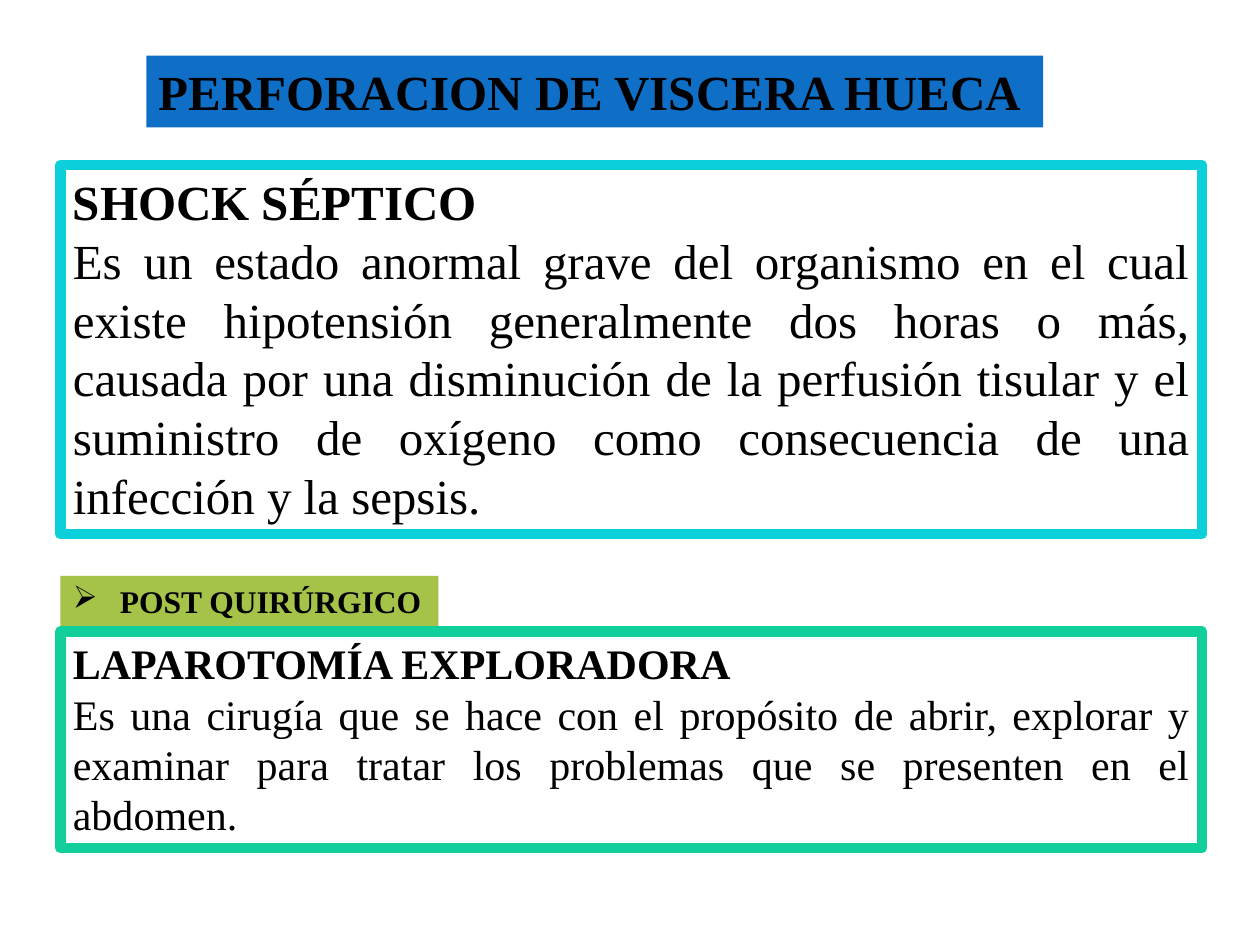
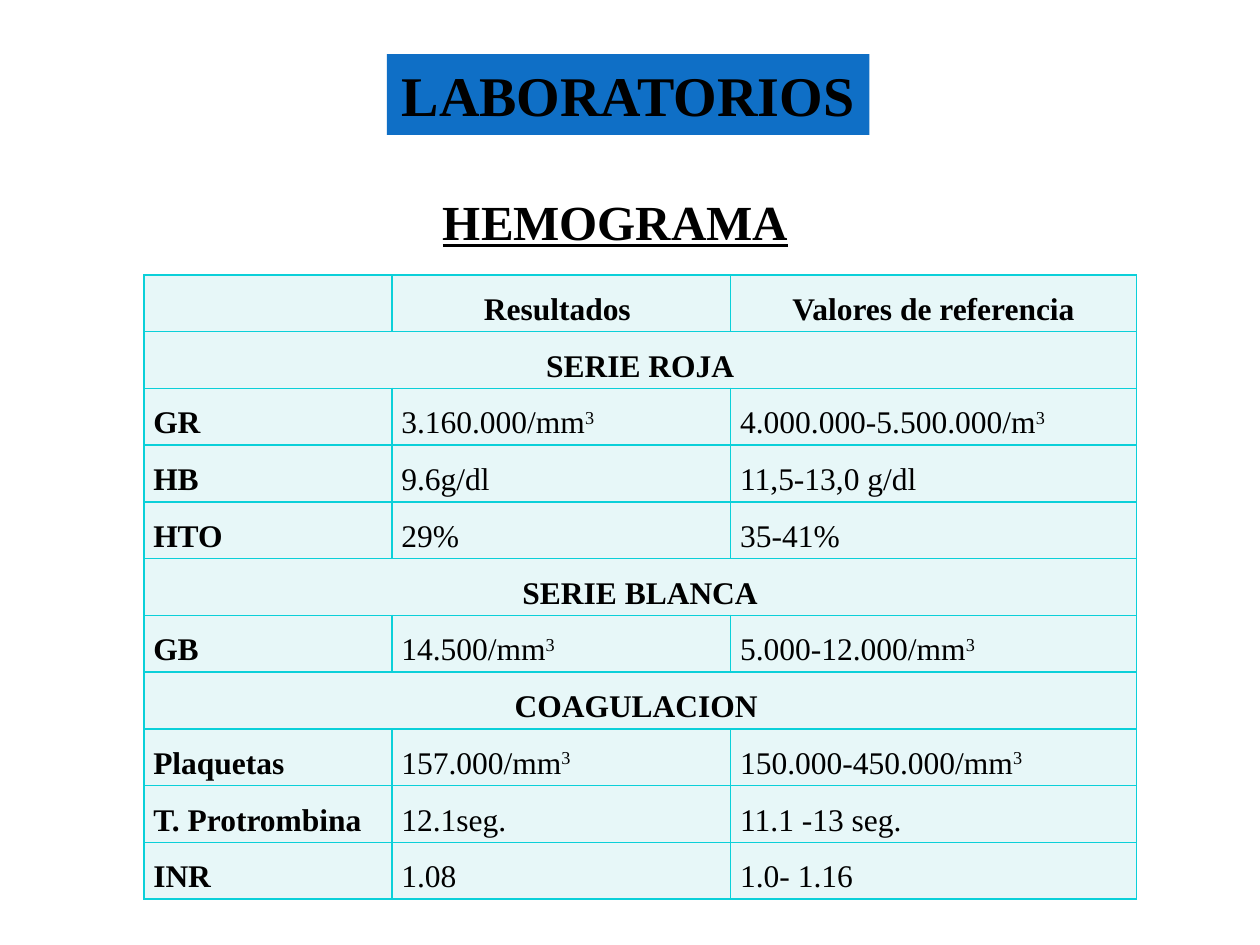
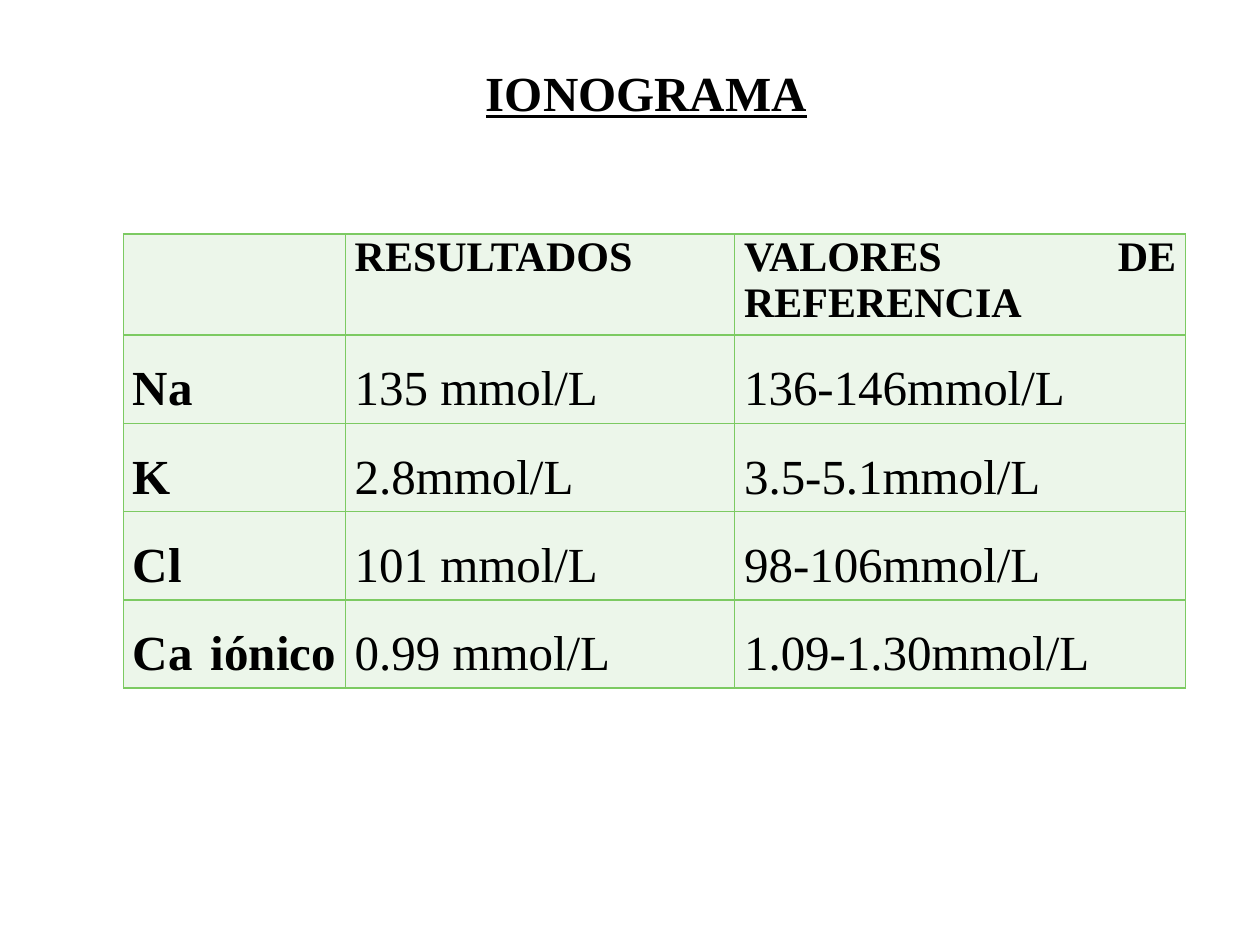
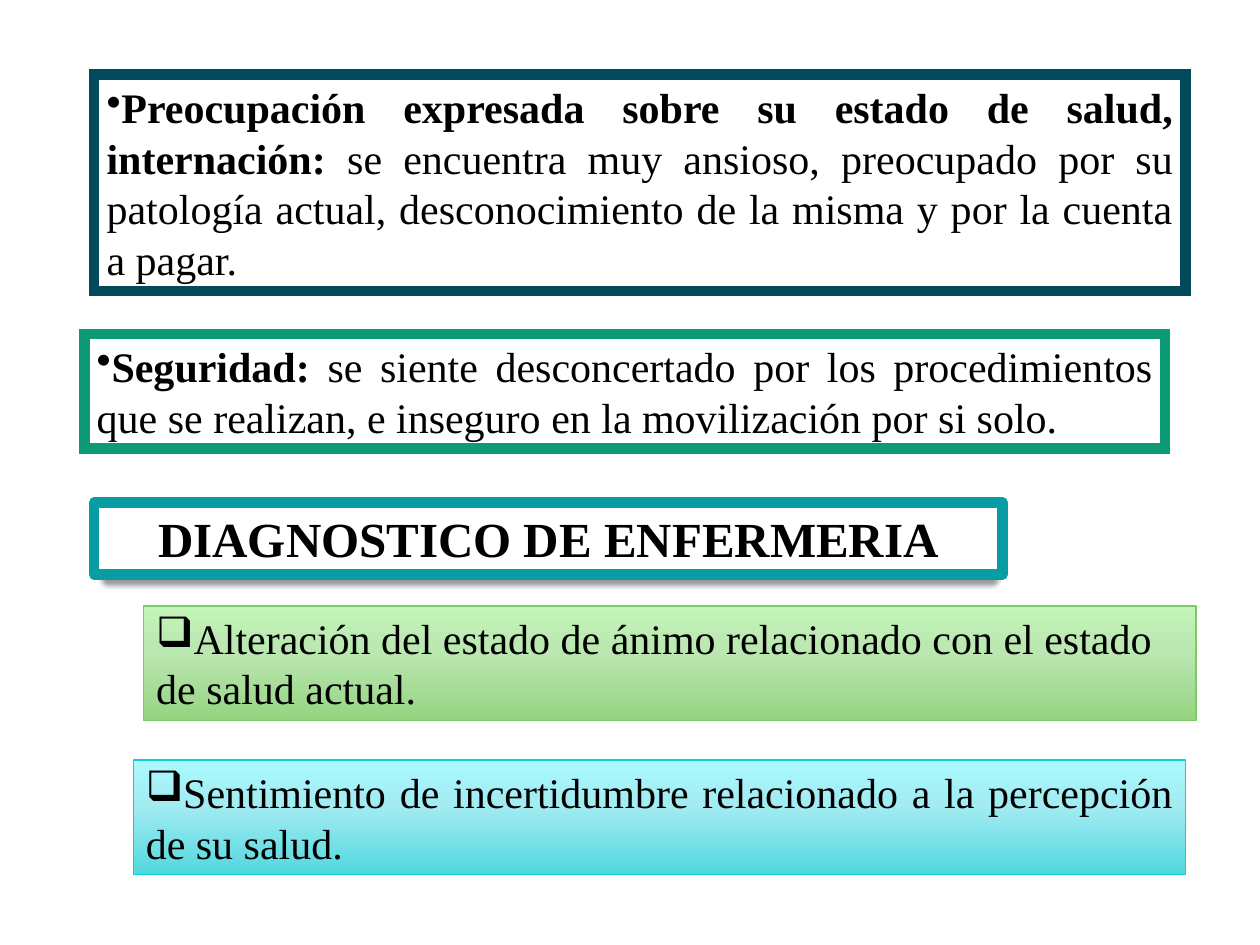
from dataclasses import dataclass

from lxml import etree
from pptx import Presentation
from pptx import util as u
from pptx.dml.color import RGBColor
from pptx.enum import shapes, text
from pptx.oxml import ns

FONT = "Times New Roman"
BLACK, WHITE = "000000", "FFFFFF"
BLUE, LIME = "0F6FC6", "A5C249"
CYAN, GREEN, MINT = "0BD0D9", "7CCA62", "10CF9B"
NAVY, JADE, TEAL = "03495C", "0C9B74", "089CA3"
SKY = ((0, "ABF8FF"), (40, "A2ECF2"), (100, "52D7DE"))
LEAF = ((0, "C3F4B8"), (40, "BBE7B1"), (100, "95D381"))

LEFT, CENTER, JUSTIFY = text.PP_ALIGN.LEFT, text.PP_ALIGN.CENTER, text.PP_ALIGN.JUSTIFY
TOP, MIDDLE = text.MSO_ANCHOR.TOP, text.MSO_ANCHOR.MIDDLE


@dataclass(frozen=True)
class Run:
    text: str
    bold: bool = False
    underline: bool = False


@dataclass(frozen=True)
class Box:
    at: tuple[float, float, float, float]
    paragraphs: tuple[tuple[Run, ...], ...]
    size: int = 24
    align: text.PP_ALIGN = JUSTIFY
    anchor: text.MSO_ANCHOR = TOP
    fill: str | None = None
    gradient: tuple[tuple[int, str], ...] = ()
    line: str | None = None
    width: float = 6
    miter: bool = False
    shadow: bool = False
    bullet: str = ""
    indent: float = 0


@dataclass(frozen=True)
class Grid:
    at: tuple[float, float]
    cols: tuple[float, ...]
    heights: tuple[float, ...]
    rows: tuple[tuple[str, ...], ...]
    size: int
    header_size: int
    header_align: text.PP_ALIGN
    header_spacing: float
    fill: str
    border: str


def rgb(color: str) -> RGBColor:
    return RGBColor.from_string(color)


def add_xml(parent, tag: str, **attrs):
    return etree.SubElement(parent, ns.qn(tag), {k: str(v) for k, v in attrs.items()})


def add_run(p, run: Run, size: int, raised: bool = False) -> None:
    r = p.add_run()
    r.text = run.text
    r.font.name = FONT
    r.font.size = u.Pt(size)
    r.font.bold = run.bold
    r.font.underline = run.underline
    r.font.color.rgb = rgb(BLACK)
    if raised:
        r._r.get_or_add_rPr().set("baseline", "30000")


def add_gradient(sp, stops: tuple[tuple[int, str], ...]) -> None:
    grad = etree.Element(ns.qn("a:gradFill"), rotWithShape="1")
    gs_lst = add_xml(grad, "a:gsLst")
    for pos, color in stops:
        add_xml(add_xml(gs_lst, "a:gs", pos=pos * 1000), "a:srgbClr", val=color)
    add_xml(grad, "a:lin", ang=5400000, scaled=0)
    sp._element.spPr.find(ns.qn("a:prstGeom")).addnext(grad)


def add_shadow(sp) -> None:
    effects = sp._element.spPr.find(ns.qn("a:effectLst"))
    outer = add_xml(effects, "a:outerShdw", blurRad=u.Pt(3), dist=u.Pt(3),
                    dir=4800000, sx=97500, sy=96500, rotWithShape=0)
    add_xml(add_xml(outer, "a:srgbClr", val=BLACK), "a:alpha", val=40000)


def add_box(s, box: Box) -> None:
    at = [u.Cm(v) for v in box.at]
    if box.fill or box.gradient or box.line:
        sp = s.shapes.add_shape(shapes.MSO_SHAPE.RECTANGLE, *at)
        sp.shadow.inherit = False
    else:
        sp = s.shapes.add_textbox(*at)
    if box.gradient:
        add_gradient(sp, box.gradient)
    elif box.fill:
        sp.fill.solid()
        sp.fill.fore_color.rgb = rgb(box.fill)
    else:
        sp.fill.background()
    if box.line:
        sp.line.color.rgb = rgb(box.line)
        sp.line.width = u.Pt(box.width)
        ln = sp.line._get_or_add_ln()
        if box.miter:
            add_xml(ln, "a:miter", lim=800000)
        else:
            add_xml(ln, "a:round")
    else:
        sp.line.fill.background()
    if box.shadow:
        add_shadow(sp)
    tf = sp.text_frame
    tf.word_wrap = True
    tf.auto_size = text.MSO_AUTO_SIZE.SHAPE_TO_FIT_TEXT
    tf.vertical_anchor = box.anchor
    for i, runs in enumerate(box.paragraphs):
        p = tf.add_paragraph() if i else tf.paragraphs[0]
        p.alignment = box.align
        if box.bullet:
            p_pr = p._p.get_or_add_pPr()
            p_pr.set("marL", str(u.Cm(box.indent)))
            p_pr.set("indent", str(-u.Cm(box.indent)))
            add_xml(p_pr, "a:buChar", char=box.bullet)
        for run in runs:
            add_run(p, run, box.size)


def add_borders(cell, color: str) -> None:
    tc_pr = cell._tc.get_or_add_tcPr()
    for side in "LRTB":
        ln = add_xml(tc_pr, f"a:ln{side}", w=u.Pt(1))
        add_xml(add_xml(ln, "a:solidFill"), "a:srgbClr", val=color)


def add_grid(s, grid: Grid) -> None:
    left, top = grid.at
    frame = s.shapes.add_table(len(grid.rows), len(grid.cols), u.Cm(left), u.Cm(top),
                               u.Cm(sum(grid.cols)), u.Cm(sum(grid.heights)))
    table = frame.table
    table.first_row = table.horz_banding = False
    for col, width in zip(table.columns, grid.cols):
        col.width = u.Cm(width)
    for i, (row, values) in enumerate(zip(table.rows, grid.rows)):
        row.height = u.Cm(grid.heights[i])
        section = len(values) == 1
        header = i == 0
        for j, cell in enumerate(row.cells):
            cell.margin_left = cell.margin_right = u.Cm(0.19)
            cell.margin_top = cell.margin_bottom = 0
            add_borders(cell, grid.border)
            cell.fill.solid()
            cell.fill.fore_color.rgb = rgb(grid.fill)
            if j >= len(values) or not values[j]:
                continue
            p = cell.text_frame.paragraphs[0]
            p.alignment = CENTER if section else grid.header_align if header else JUSTIFY
            p.line_spacing = grid.header_spacing if header else 1.5
            size = grid.header_size if header else grid.size
            for k, part in enumerate(values[j].split("^")):
                add_run(p, Run(part, header or j == 0), size, raised=k > 0)
        if section:
            table.cell(i, 0).merge(table.cell(i, len(grid.cols) - 1))


def heading(value: str, underline: bool = False) -> tuple[tuple[Run, ...], ...]:
    return ((Run(value, True, underline),),)


PERFORATION = (
    Box((2.95, 1.12, 18.08, 1.45), heading("PERFORACION DE VISCERA HUECA"), 28, fill=BLUE),
    Box((1.22, 3.33, 23.01, 7.44), (
        (Run("SHOCK SÉPTICO", True),),
        (Run("Es un estado anormal grave del organismo en el cual existe hipotensión "
             "generalmente dos horas o más, causada por una disminución de la perfusión "
             "tisular y el suministro de oxígeno como consecuencia de una infección y la "
             "sepsis."),)), 28, line=CYAN),
    Box((1.22, 11.61, 7.62, 1.02), heading("POST QUIRÚRGICO"), 18, fill=LIME,
        bullet="➢", indent=0.95),
    Box((1.22, 12.73, 23.01, 4.37), (
        (Run("LAPAROTOMÍA EXPLORADORA", True),),
        (Run("Es una cirugía que se hace con el propósito de abrir, explorar y examinar "
             "para tratar los problemas que se presenten en el abdomen."),)), line=MINT),
)

LABORATORY = (
    Box((7.8, 1.09, 9.73, 1.63), heading("LABORATORIOS"), 32, CENTER, MIDDLE, BLUE),
    Box((8.64, 3.73, 7.54, 1.45), heading("HEMOGRAMA", True), 28, CENTER),
    Grid((2.9, 5.54), (5, 6.83, 8.18), (1.14,) * 11, (
        ("", "Resultados ", "Valores de referencia"),
        ("SERIE ROJA",),
        ("GR", "3.160.000/mm^3", "4.000.000-5.500.000/m^3"),
        ("HB", "9.6g/dl", "11,5-13,0 g/dl"),
        ("HTO", "29%", "35-41%"),
        ("SERIE BLANCA",),
        ("GB", "14.500/mm^3", "5.000-12.000/mm^3"),
        ("COAGULACION ",),
        ("Plaquetas ", "157.000/mm^3", "150.000-450.000/mm^3"),
        ("T. Protrombina", "12.1seg.", "11.1 -13 seg."),
        ("INR", "1.08", "1.0- 1.16"),
    ), 18, 18, CENTER, 1.5, "E7F7F8", CYAN),
)

IONOGRAM = (
    Box((9.5, 1.12, 7.06, 1.45), heading("IONOGRAMA", True), 28, CENTER, MIDDLE),
    Grid((2.49, 4.72), (4.47, 7.85, 9.09), (2.03,) + (1.78,) * 4, (
        ("", "RESULTADOS", "VALORES DE REFERENCIA"),
        ("Na ", "135 mmol/L", "136-146mmol/L"),
        ("K ", "2.8mmol/L", "3.5-5.1mmol/L"),
        ("Cl", "101 mmol/L", "98-106mmol/L"),
        ("Ca iónico ", "0.99 mmol/L", "1.09-1.30mmol/L"),
    ), 28, 24, JUSTIFY, 1, "ECF6EA", GREEN),
)

DIAGNOSIS = (
    Box((1.9, 1.5, 22, 4.37), ((
        Run("Preocupación expresada sobre su estado de salud, internación: ", True),
        Run("se encuentra muy ansioso, preocupado por su patología actual, "
            "desconocimiento de la misma y por la cuenta a pagar. ")),),
        anchor=MIDDLE, line=NAVY, miter=True, bullet="•"),
    Box((1.7, 6.73, 21.79, 2.31), ((
        Run("Seguridad: ", True),
        Run("se siente desconcertado por los procedimientos que se realizan, e inseguro "
            "en la movilización por si solo.")),),
        anchor=MIDDLE, line=JADE, miter=True, bullet="•"),
    Box((2.69, 15.32, 21.21, 2.31), ((
        Run("Sentimiento de incertidumbre relacionado a la percepción de su salud."),),),
        anchor=MIDDLE, gradient=SKY, line=CYAN, width=0.75, bullet="❑"),
    Box((1.9, 10.13, 18.31, 1.45), heading("DIAGNOSTICO DE ENFERMERIA"), 28, CENTER,
        fill=WHITE, line=TEAL, shadow=True),
    Box((2.9, 12.22, 21.21, 2.31), ((
        Run("Alteración del estado de ánimo relacionado con el estado de salud actual."),),),
        align=LEFT, gradient=LEAF, line=GREEN, width=0.75, bullet="❑"),
)


def main() -> None:
    prs = Presentation()
    prs.slide_width, prs.slide_height = u.Cm(25.4), u.Cm(19.05)
    for items in (PERFORATION, LABORATORY, IONOGRAM, DIAGNOSIS):
        s = prs.slides.add_slide(prs.slide_layouts[6])
        for item in items:
            if isinstance(item, Grid):
                add_grid(s, item)
            else:
                add_box(s, item)
    prs.save("out.pptx")


if __name__ == "__main__":
    main()
